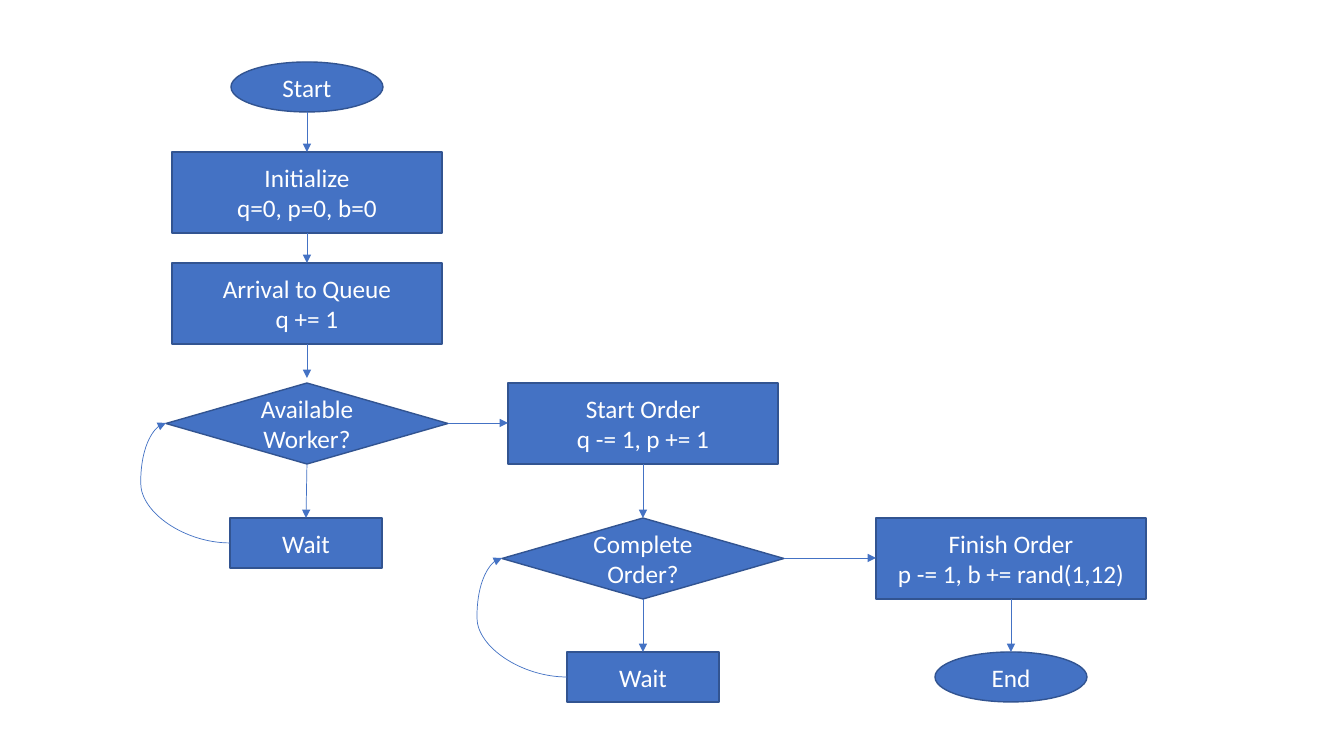
import pptx
import pptx.dml.color
import pptx.enum.shapes
import pptx.enum.text
import pptx.oxml.ns
import pptx.util
from lxml import etree

SCALE = 914400 / 100.8
BLUE = pptx.dml.color.RGBColor(0x44, 0x72, 0xC4)
DARK_BLUE = pptx.dml.color.RGBColor(0x32, 0x54, 0x91)
WHITE = pptx.dml.color.RGBColor(0xFF, 0xFF, 0xFF)

SHAPES = pptx.enum.shapes.MSO_SHAPE
CONNECTORS = pptx.enum.shapes.MSO_CONNECTOR
TERMINAL = (SHAPES.FLOWCHART_CONNECTOR, 152, 50)
PROCESS = (SHAPES.FLOWCHART_PROCESS, 270, 81)
DECISION = (SHAPES.FLOWCHART_DECISION, 282, 81)
WAIT = (SHAPES.FLOWCHART_PROCESS, 152, 50)

QUEUE_X, ORDER_X, FINISH_X = 307, 643, 1011
QUEUE_WAIT_X = 306
WORKER_Y, COMPLETE_Y, END_Y = 383, 518, 652


def emu(pixels):
    return round(pixels * SCALE)


def add_arrow(page, kind, start, end):
    arrow = page.shapes.add_connector(kind, *[emu(value) for value in start + end])
    arrow.line.width = pptx.util.Pt(0.5)
    arrow.line.color.rgb = BLUE
    outline = arrow.line._get_or_add_ln()
    etree.SubElement(outline, pptx.oxml.ns.qn("a:tailEnd"), type="triangle")
    etree.SubElement(arrow._element.spPr, pptx.oxml.ns.qn("a:effectLst"))
    return arrow


deck = pptx.Presentation()
deck.slide_width = emu(1344)
deck.slide_height = emu(756)
page = deck.slides.add_slide(deck.slide_layouts[6])

steps = [
    (TERMINAL, QUEUE_X, 62, ["Start"]),
    (PROCESS, QUEUE_X, 152, ["Initialize", "q=0, p=0, b=0"]),
    (PROCESS, QUEUE_X, 263, ["Arrival to Queue", "q += 1"]),
    (DECISION, QUEUE_X, WORKER_Y, ["Available Worker?"]),
    (WAIT, QUEUE_WAIT_X, COMPLETE_Y, ["Wait"]),
    (PROCESS, ORDER_X, WORKER_Y, ["Start Order", "q -= 1, p += 1"]),
    (DECISION, ORDER_X, COMPLETE_Y, ["Complete Order?"]),
    (WAIT, ORDER_X, END_Y, ["Wait"]),
    (PROCESS, FINISH_X, COMPLETE_Y, ["Finish Order", "p -= 1, b += rand(1,12)"]),
    (TERMINAL, FINISH_X, END_Y, ["End"]),
]
for (kind, width, height), center, top, lines in steps:
    box = page.shapes.add_shape(
        kind, emu(center - width / 2), emu(top), emu(width), emu(height))
    box.shadow.inherit = False
    box.fill.solid()
    box.fill.fore_color.rgb = BLUE
    box.line.color.rgb = DARK_BLUE
    box.line.width = pptx.util.Pt(1)
    frame = box.text_frame
    frame.word_wrap = True
    frame.vertical_anchor = pptx.enum.text.MSO_ANCHOR.MIDDLE
    for index, line in enumerate(lines):
        para = frame.add_paragraph() if index else frame.paragraphs[0]
        para.alignment = pptx.enum.text.PP_ALIGN.CENTER
        span = para.add_run()
        span.text = line
        span.font.name = "Calibri"
        span.font.size = pptx.util.Pt(18)
        span.font.color.rgb = WHITE

straight_arrows = [
    ((QUEUE_X, 112), (QUEUE_X, 152)),
    ((QUEUE_X, 233), (QUEUE_X, 263)),
    ((QUEUE_X, 344), (QUEUE_X, 378)),
    ((QUEUE_X, 464), (QUEUE_WAIT_X, COMPLETE_Y)),
    ((448, 423), (508, 423)),
    ((ORDER_X, 464), (ORDER_X, COMPLETE_Y)),
    ((ORDER_X, 599), (ORDER_X, END_Y)),
    ((784, 558), (876, 558)),
    ((FINISH_X, 599), (FINISH_X, END_Y)),
]
for start, end in straight_arrows:
    add_arrow(page, CONNECTORS.STRAIGHT, start, end)

wait_loops = [
    ((230, 543), (166, 423), 139500),
    ((567, 677), (502, 558), 138500),
]
for start, end, bulge in wait_loops:
    loop = add_arrow(page, CONNECTORS.CURVE, start, end)
    guides = loop._element.spPr.find(".//" + pptx.oxml.ns.qn("a:avLst"))
    etree.SubElement(
        guides, pptx.oxml.ns.qn("a:gd"), name="adj1", fmla=f"val {bulge}")

deck.save("out.pptx")
